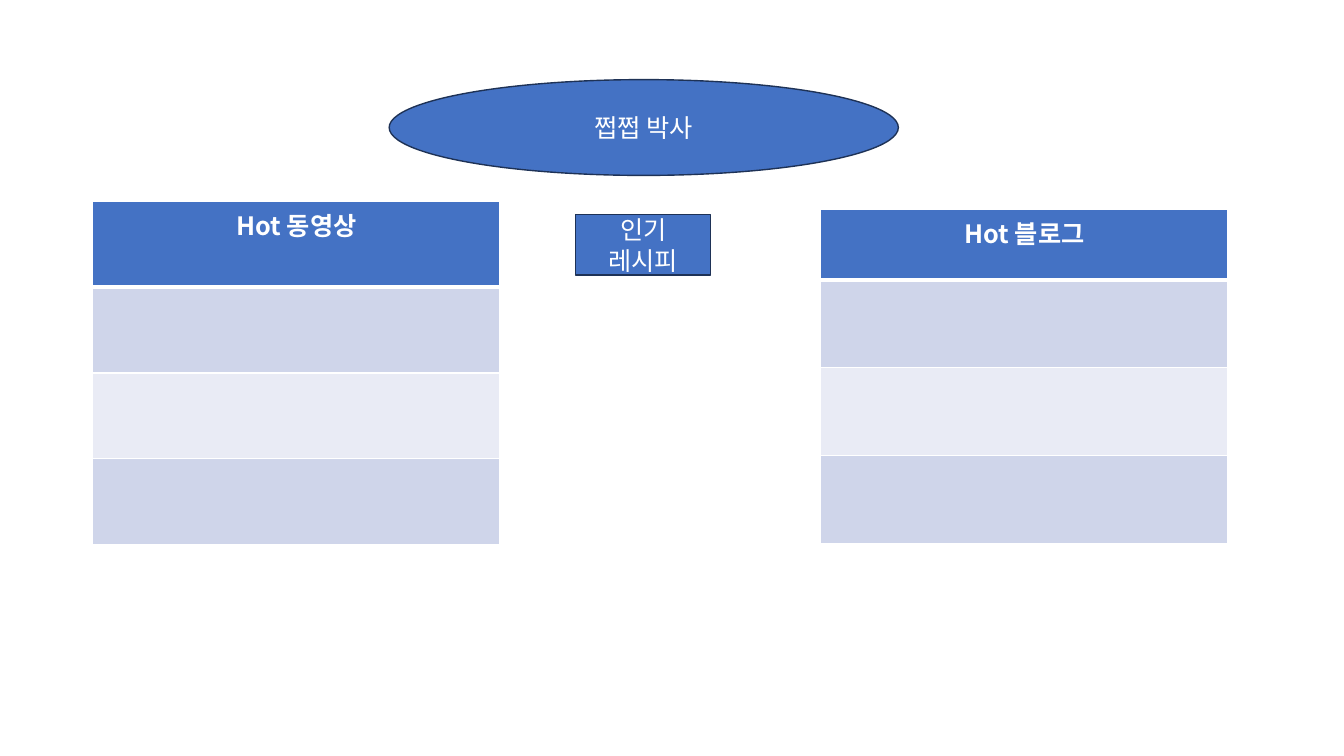
from lxml import etree
from pptx import Presentation
from pptx.dml.color import RGBColor
from pptx.enum import shapes, text
from pptx.oxml import ns
from pptx.util import Inches, Pt

FONT = "Noto Sans CJK KR"
WHITE = RGBColor(0xFF, 0xFF, 0xFF)
BLUE = RGBColor(0x44, 0x72, 0xC4)
NAVY = RGBColor(0x1E, 0x32, 0x56)
BAND_DARK = RGBColor(0xCF, 0xD5, 0xEA)
BAND_LIGHT = RGBColor(0xE9, 0xEB, 0xF5)
ROW_FILLS = [BLUE, BAND_DARK, BAND_LIGHT, BAND_DARK]


def write_centred(tf, lines, bold=False):
    for i, line in enumerate(lines):
        p = tf.paragraphs[0] if i == 0 else tf.add_paragraph()
        p.alignment = text.PP_ALIGN.CENTER
        r = p.add_run()
        r.text = line
        r.font.color.rgb = WHITE
        for name, value in {"size": Pt(18), "bold": bold, "name": FONT}.items():
            setattr(r.font, name, value)
        # Hangul takes its typeface from the East Asian font slot
        etree.SubElement(r.font._element, ns.qn("a:ea"), typeface=FONT)


def set_borders(cell, widths):
    """Give a cell white borders; widths maps each side to points."""
    tcPr = cell._tc.get_or_add_tcPr()
    for i, side in enumerate("LRTB"):
        ln = etree.Element(ns.qn(f"a:ln{side}"), w=str(Pt(widths[side])))
        fill = etree.SubElement(ln, ns.qn("a:solidFill"))
        etree.SubElement(fill, ns.qn("a:srgbClr"), val=str(WHITE))
        tcPr.insert(i, ln)


prs = Presentation()
prs.slide_width, prs.slide_height = Inches(13.33), Inches(7.5)
s = prs.slides.add_slide(prs.slide_layouts[6])

# Ranking tables: heading, left, top, header height, row height
for heading, left, top, header_h, row_h in [
    ("Hot 동영상", 0.92, 2, 0.85, 0.85),
    ("Hot 블로그", 8.14, 2.08, 0.7, 0.87),
]:
    heights = [header_h] + [row_h] * 3
    table = s.shapes.add_table(
        len(heights), 1, Inches(left), Inches(top), Inches(4.04), Inches(sum(heights))
    ).table
    for i, (height, color) in enumerate(zip(heights, ROW_FILLS)):
        table.rows[i].height = Inches(height)
        cell = table.cell(i, 0)
        cell.fill.solid()
        cell.fill.fore_color.rgb = color
        set_borders(cell, {"L": 1, "R": 1, "T": 3 if i == 1 else 1, "B": 3 if i == 0 else 1})
    write_centred(table.cell(0, 0).text_frame, [heading], bold=True)

# Title ellipse and recipe button
for kind, box, lines in [
    (shapes.MSO_SHAPE.OVAL, (3.86, 0.79, 5.05, 0.95), ["쩝쩝 박사"]),
    (shapes.MSO_SHAPE.RECTANGLE, (5.71, 2.13, 1.34, 0.6), ["인기", "레시피"]),
]:
    sp = s.shapes.add_shape(kind, *map(Inches, box))
    sp.shadow.inherit = False
    sp.fill.solid()
    sp.fill.fore_color.rgb = BLUE
    sp.line.color.rgb = NAVY
    sp.line.width = Pt(1)
    sp.text_frame.vertical_anchor = text.MSO_ANCHOR.MIDDLE
    write_centred(sp.text_frame, lines)

prs.save("out.pptx")
